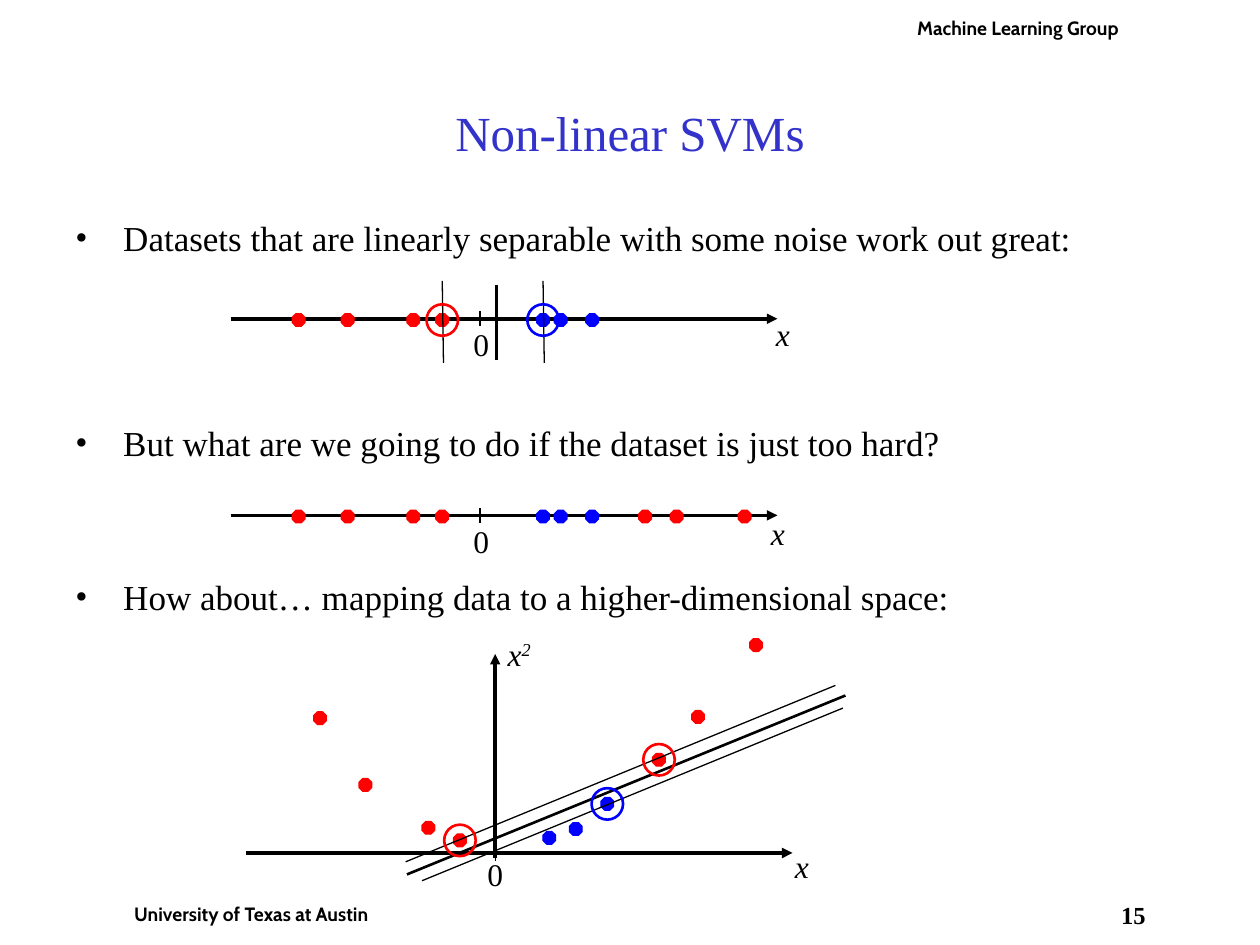
from dataclasses import dataclass

from lxml import etree
from pptx import Presentation
from pptx import util as u
from pptx.dml import color
from pptx.enum import shapes, text
from pptx.oxml import ns

Inches = u.Inches


@dataclass(frozen=True)
class Theme:
    ink: str = "000000"
    paper: str = "FFFFFF"
    title: str = "3333CC"
    red: str = "FF0000"
    blue: str = "0000FF"
    serif: str = "Times New Roman"
    sans: str = "Cabin"
    title_size: float = 28
    body_size: float = 20
    label_size: float = 18
    number_size: float = 14
    footer_size: float = 11
    axis_width: float = 2
    bold_width: float = 1.5
    thin_width: float = 0.75


THEME = Theme()


def rgb(value):
    return color.RGBColor.from_string(value)


def add_child(parent, tag, **values):
    return etree.SubElement(parent, ns.qn(tag), values)


def add_span(para, words, size, tint=THEME.ink, **values):
    span = para.add_run()
    span.text = words
    formats = {"name": THEME.serif, "size": u.Pt(size), **values}
    for name, value in formats.items():
        setattr(span.font, name, value)
    span.font.color.rgb = rgb(tint)
    return span


def set_frame(frame, inset=(0.1, 0.05), anchor=text.MSO_ANCHOR.TOP):
    across, down = (Inches(value) for value in inset)
    formats = {
        "word_wrap": True,
        "vertical_anchor": anchor,
        "margin_left": across,
        "margin_right": across,
        "margin_top": down,
        "margin_bottom": down,
    }
    for name, value in formats.items():
        setattr(frame, name, value)


def add_text_box(page, place, inset=(0.1, 0.05)):
    box = page.shapes.add_textbox(*map(Inches, place))
    set_frame(box.text_frame, inset)
    return box


def add_label(page, left, top, words, width=0.5, italic=True, power=None):
    para = add_text_box(page, (left, top, width, 0.4)).text_frame.paragraphs[0]
    para.space_before = u.Pt(11.2)
    add_span(para, words, THEME.label_size, italic=italic)
    if power:
        raised = add_span(para, power, THEME.label_size, italic=italic)
        raised.font._element.set("baseline", "30000")


def add_line(page, start, end, width, arrow=False):
    line = page.shapes.add_connector(
        shapes.MSO_CONNECTOR.STRAIGHT, *map(Inches, (*start, *end)))
    line.line.color.rgb = rgb(THEME.ink)
    line.line.width = u.Pt(width)
    if arrow:
        add_child(line.line._get_or_add_ln(), "a:tailEnd", type="triangle")
    add_child(line._element.spPr, "a:effectLst")


def add_mark(page, kind, centre, size, tint, width, filled):
    x, y = centre
    mark = page.shapes.add_shape(
        kind, *map(Inches, (x - size / 2, y - size / 2, size, size)))
    mark.shadow.inherit = False
    if filled:
        mark.fill.solid()
        mark.fill.fore_color.rgb = rgb(tint)
    else:
        mark.fill.background()
    mark.line.color.rgb = rgb(tint)
    mark.line.width = u.Pt(width)


def add_dots(page, centres, tint):
    for centre in centres:
        add_mark(page, shapes.MSO_SHAPE.OCTAGON, centre, 0.1, tint,
                 THEME.thin_width, True)


def add_ring(page, centre, tint):
    add_mark(page, shapes.MSO_SHAPE.OVAL, centre, 0.25, tint,
             THEME.bold_width, False)


def add_axis(page, left, y, zero):
    add_line(page, (left, y), (left + 4.34, y), THEME.axis_width, arrow=True)
    add_line(page, (zero, y - 0.06), (zero, y + 0.06), THEME.thin_width)


def add_title(page, place, words):
    box = page.shapes.title
    for name, value in zip(("left", "top", "width", "height"), place):
        setattr(box, name, Inches(value))
    set_frame(box.text_frame, anchor=text.MSO_ANCHOR.MIDDLE)
    para = box.text_frame.paragraphs[0]
    para.alignment = text.PP_ALIGN.CENTER
    add_span(para, words, THEME.title_size, THEME.title)


def add_bullets(page, place, items):
    frame = add_text_box(page, place).text_frame
    for index, (words, gap) in enumerate(items):
        para = frame.add_paragraph() if index else frame.paragraphs[0]
        para.space_before = u.Pt(gap)
        props = para._p.get_or_add_pPr()
        props.set("marL", str(Inches(0.38)))
        props.set("indent", str(Inches(-0.38)))
        add_child(add_child(props, "a:buClr"), "a:srgbClr", val=THEME.ink)
        add_child(props, "a:buFont", typeface=THEME.serif)
        add_child(props, "a:buChar", char="•")
        add_span(para, words, THEME.body_size)


def add_caption(page, place, words, size, font, inset, gap=0):
    box = add_text_box(page, place, inset)
    box.fill.solid()
    box.fill.fore_color.rgb = rgb(THEME.paper)
    para = box.text_frame.paragraphs[0]
    para.alignment = text.PP_ALIGN.CENTER
    para.space_before = u.Pt(gap)
    add_span(para, words, size, name=font, bold=True)


def add_number_line(page, left, y, reds, blues, name_offset):
    name_x, name_y = name_offset
    zero = left + 1.98
    add_axis(page, left, y, zero)
    add_label(page, zero - 0.15, y, "0", width=0.37, italic=False)
    add_label(page, left + name_x, y + name_y, "x")
    for offsets, tint in ((reds, THEME.red), (blues, THEME.blue)):
        add_dots(page, [(left + x, y + 0.01) for x in offsets], tint)


def add_margin(page, left, y, support_red, support_blue):
    middle = left + (support_red + support_blue) / 2 + 0.03
    add_line(page, (middle, y - 0.27), (middle, y + 0.33), THEME.bold_width)
    for offset, tint in ((support_red, THEME.red), (support_blue, THEME.blue)):
        x = left + offset
        add_line(page, (x + 0.01, y + 0.35), (x, y - 0.3), THEME.thin_width)
        add_ring(page, (x, y + 0.01), tint)


def add_mapped_plot(page, left, top):
    def place(*points):
        return [(left + x, top + y) for x, y in points]

    zero, base = left + 1.98, top + 1.78
    add_axis(page, left, base, zero)
    add_line(page, (zero, base + 0.04), (zero, top + 0.2),
             THEME.axis_width, arrow=True)
    add_label(page, zero - 0.16, base - 0.03, "0", width=0.37, italic=False)
    add_label(page, zero, top, "x", power="2")
    add_label(page, left + 4.26, base - 0.1, "x")

    reds = place((0.59, 0.71), (0.95, 1.24), (1.45, 1.58), (1.7, 1.68),
                 (3.28, 1.04), (3.59, 0.7), (4.05, 0.13))
    blues = place((2.41, 1.66), (2.62, 1.59), (2.87, 1.39))
    add_dots(page, reds, THEME.red)
    add_dots(page, blues, THEME.blue)

    for start, end, width in (
        ((1.28, 1.95), (4.76, 0.53), THEME.bold_width),
        ((1.27, 1.85), (4.68, 0.45), THEME.thin_width),
        ((1.4, 2), (4.74, 0.63), THEME.thin_width),
    ):
        add_line(page, *place(start, end), width)
    for centre, tint in ((reds[3], THEME.red), (reds[4], THEME.red),
                         (blues[2], THEME.blue)):
        add_ring(page, centre, tint)


def main():
    deck = Presentation()
    deck.slide_width, deck.slide_height = Inches(10), Inches(7.5)
    page = deck.slides.add_slide(deck.slide_layouts[5])

    add_caption(page, (8.83, 7.14, 0.33, 0.36), "15",
                THEME.number_size, THEME.serif, (0, 0))
    for place, words in (
        ((0.83, 7.11, 2.33, 0.29), "University of Texas at Austin"),
        ((7.08, 0.08, 2, 0.29), "Machine Learning Group"),
    ):
        add_caption(page, place, words, THEME.footer_size, THEME.sans,
                    (0.05, 0.05), gap=6.9)

    add_title(page, (0.75, 0.42, 8.5, 1.25), "Non-linear SVMs")
    add_bullets(page, (0.5, 1.67, 9, 5.5), (
        ("Datasets that are linearly separable with some noise work out great:", 5),
        ("But what are we going to do if the dataset is just too hard?", 93),
        ("How about… mapping data to a higher-dimensional space:", 64),
    ))

    near_reds = (0.54, 0.93, 1.45, 1.68)
    far_reds = (3.29, 3.54, 4.08)
    blues = (2.48, 2.62, 2.87)
    left = 1.83
    add_number_line(page, left, 2.53, near_reds, blues, (4.23, -0.08))
    add_margin(page, left, 2.53, near_reds[-1], blues[0])
    add_number_line(page, left, 4.09, near_reds + far_reds, blues, (4.19, -0.06))
    add_mapped_plot(page, 1.95, 4.99)

    deck.save("out.pptx")


if __name__ == "__main__":
    main()
